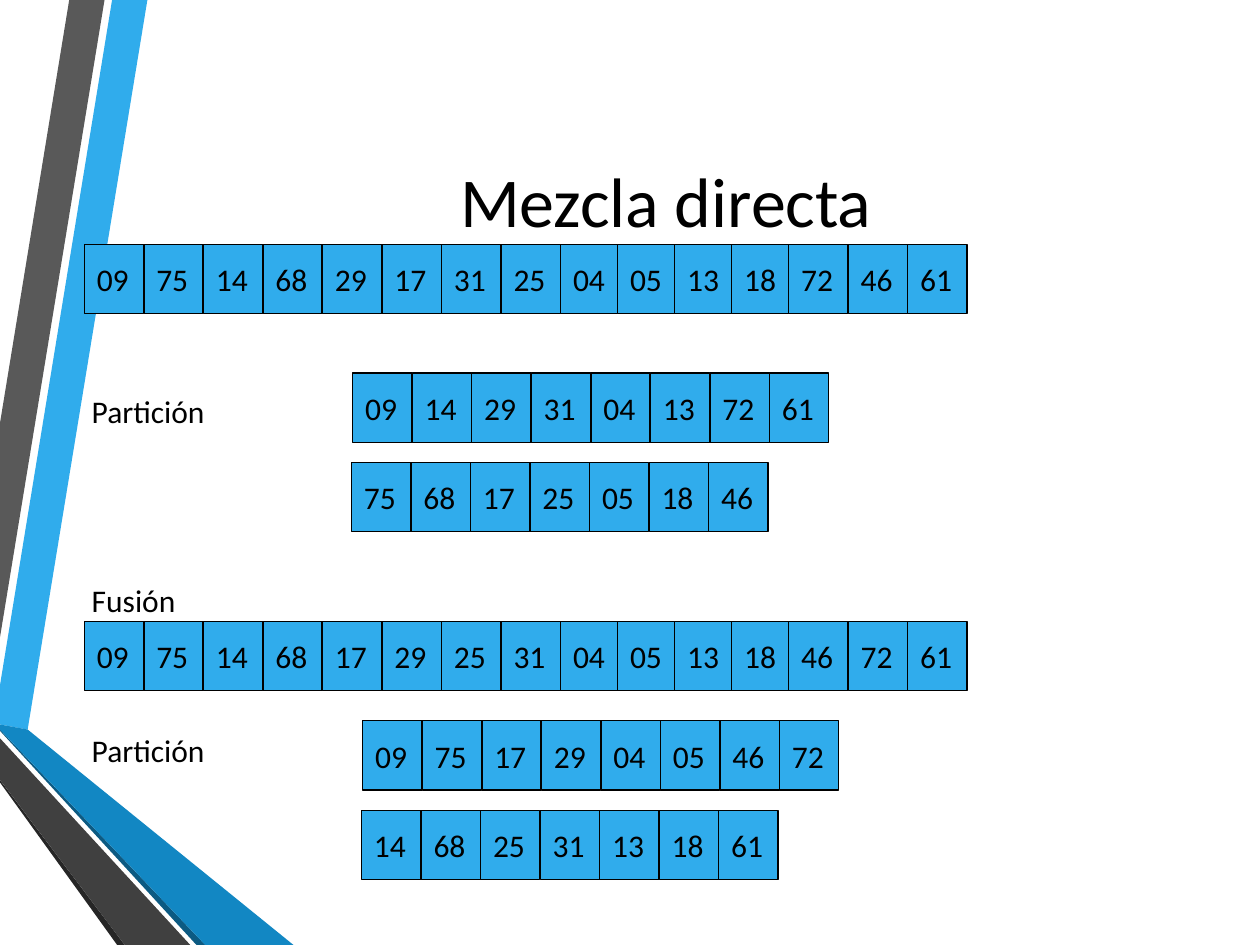
import pptx
import pptx.util
import pptx.dml.color
import pptx.enum.shapes
import pptx.enum.text

Inches, Pt = pptx.util.Inches, pptx.util.Pt
ANCHOR, ALIGN = pptx.enum.text.MSO_ANCHOR, pptx.enum.text.PP_ALIGN
BLUE, BLACK, FONT = "30ACEC", "000000", "Calibri"

TITLE = "Mezcla directa"
# Text and the space above it in points
LABELS = [("Partición", 0), ("Fusión", 86.5), ("Partición", 64)]
# Left, top and values of each row of cells
ROWS = [
    (0.67, 1.94, "09 75 14 68 29 17 31 25 04 05 13 18 72 46 61"),
    (2.8, 2.96, "09 14 29 31 04 13 72 61"),
    (2.79, 3.67, "75 68 17 25 05 18 46"),
    (0.67, 4.93, "09 75 14 68 17 29 25 31 04 05 13 18 46 72 61"),
    (2.88, 5.72, "09 75 17 29 04 05 46 72"),
    (2.87, 6.43, "14 68 25 31 13 18 61"),
]
CELL_W, CELL_H = 0.47, 0.55
PITCH = 3.78 / 8
OVERLAP = 0.02  # cells 9 to 12 sit closer together
RIBBONS = [
    (BLUE, [(0, 5.44), (0, 5.75), (0.22, 5.79), (1.17, 0), (0.89, 0)]),
    ("595959", [(0.83, 0), (0.55, 0), (0, 3.36), (0, 5.06)]),
    ("262626", [(0, 6.19), (0, 6.21), (0.93, 7.5), (0.99, 7.5)]),
    ("0C5A82", [(0, 5.79), (0, 5.8), (1.56, 7.5), (1.63, 7.5)]),
    ("1287C3", [(0, 5.79), (1.63, 7.5), (2.33, 7.5), (0.22, 5.79), (0, 5.75)]),
    ("404040", [(0, 6.19), (0.99, 7.5), (1.51, 7.5), (0, 5.86)]),
]


def color(value):
    """Turn a hex string into a colour."""
    return pptx.dml.color.RGBColor.from_string(value)


def add_run(p, text, size):
    """Add one run of black text to a paragraph."""
    r = p.add_run()
    r.text = text
    r.font.size = Pt(size)
    r.font.name = FONT
    r.font.color.rgb = color(BLACK)


def add_ribbon(s, fill, points):
    """Draw one filled polygon without an outline."""
    start, *rest = [(Inches(x), Inches(y)) for x, y in points]
    builder = s.shapes.build_freeform(*start, scale=1.0)
    builder.add_line_segments(rest, close=True)
    sp = builder.convert_to_shape()
    sp.fill.solid()
    sp.fill.fore_color.rgb = color(fill)
    sp.line.fill.background()
    sp.shadow.inherit = False


def add_cell(s, x, y, text):
    """Draw one outlined cell with its number."""
    sp = s.shapes.add_shape(pptx.enum.shapes.MSO_SHAPE.RECTANGLE,
                            Inches(x), Inches(y), Inches(CELL_W), Inches(CELL_H))
    sp.fill.solid()
    sp.fill.fore_color.rgb = color(BLUE)
    sp.line.color.rgb = color(BLACK)
    sp.line.width = Pt(0.75)
    sp.shadow.inherit = False
    tf = sp.text_frame
    tf.word_wrap = False
    tf.vertical_anchor = ANCHOR.MIDDLE
    tf.paragraphs[0].alignment = ALIGN.LEFT
    add_run(tf.paragraphs[0], text, 18)


def add_title(s):
    """Place and format the title placeholder."""
    sp = s.shapes.title
    sp.left, sp.top, sp.width, sp.height = map(Inches, (1.07, 0.5, 8.43, 2.17))
    tf = sp.text_frame
    tf.vertical_anchor = ANCHOR.MIDDLE
    tf.paragraphs[0].alignment = ALIGN.CENTER
    add_run(tf.paragraphs[0], TITLE, 40)


def add_labels(s):
    """Add the step names in one text box."""
    tf = s.shapes.add_textbox(Inches(0.63), Inches(3.06), Inches(1.17), Inches(3.4)).text_frame
    tf.word_wrap = False
    for i, (text, gap) in enumerate(LABELS):
        p = tf.add_paragraph() if i else tf.paragraphs[0]
        p.space_before = Pt(gap)
        add_run(p, text, 18)


prs = pptx.Presentation()
prs.slide_width, prs.slide_height = Inches(10), Inches(7.5)
s = prs.slides.add_slide(prs.slide_layouts[5])
for fill, points in RIBBONS:
    add_ribbon(s, fill, points)
add_title(s)
for left, top, values in ROWS:
    for i, value in enumerate(values.split()):
        closer = OVERLAP * min(max(i - 8, 0), 4)
        add_cell(s, left + PITCH * i - closer, top, value)
add_labels(s)
prs.save("out.pptx")
